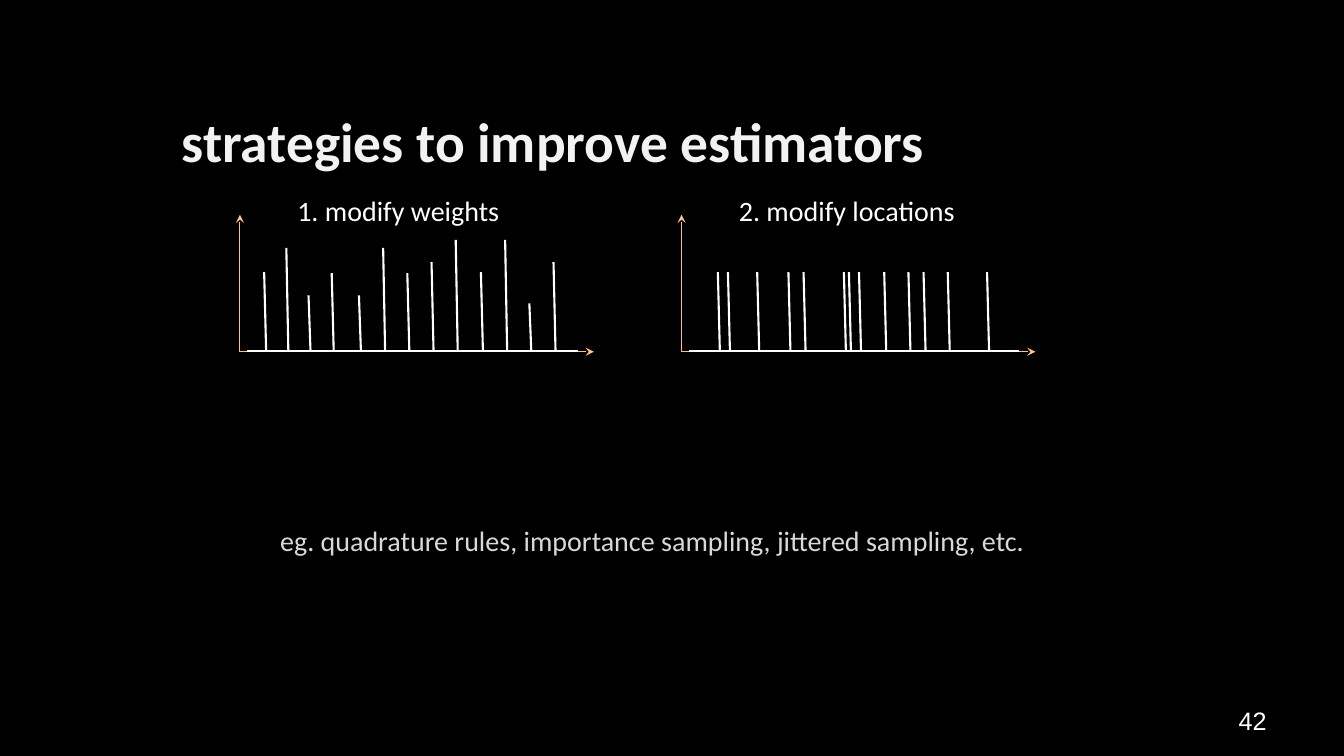
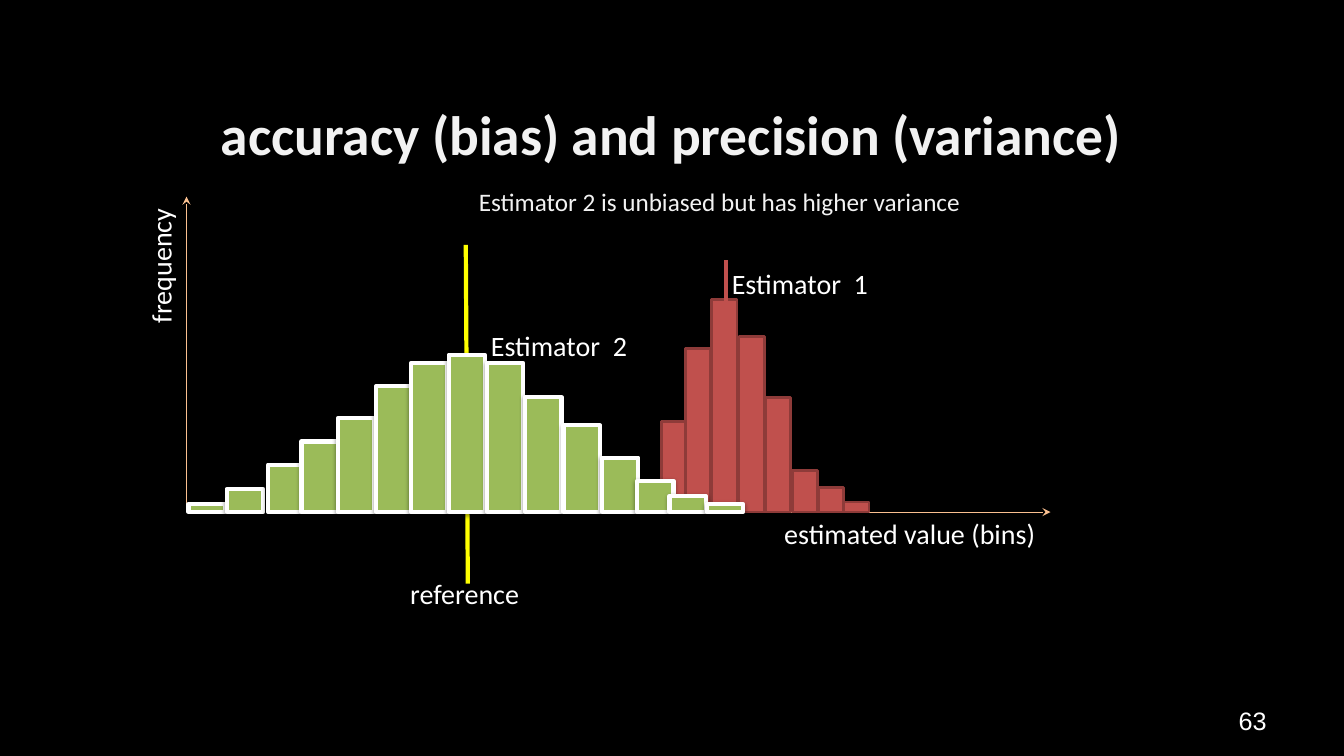
from lxml import etree
from pptx import Presentation, util as u
from pptx.dml.color import RGBColor
from pptx.enum import shapes, text
from pptx.oxml.ns import qn

SCALE = 9144  # EMU in one px, 100 px to the inch
COLORS = {
    "back": "000000", "white": "FFFFFF", "title": "F2F2F2", "muted": "D9D9D9",
    "axis": "FAC090", "reference": "FFFF00",
    "red": "C0504D", "red edge": "8E3B39", "green": "9BBB59",
}
BODY_FONT = "Calibri"
NUMBER_BOX = (1201, 695, 65, 40)

# Stem plots: origin x, label, label width, (offset from the origin, height)
STEM_BASE, STEM_LEAN = 349, 2
WEIGHTS = [(26, 79), (48, 103), (70, 56), (93, 78), (120, 56), (144, 103), (168, 78),
           (192, 89), (216, 111), (241, 79), (265, 111), (289, 48), (313, 89)]
LOCATIONS = [(offset, 79) for offset in
             (38, 48, 77, 108, 123, 163, 168, 178, 203, 227, 242, 266, 305)]
STEM_PLOTS = [
    (238, "1. modify weights", 222, WEIGHTS),
    (676, "2. modify locations", 237, LOCATIONS),
]

# Histograms: (left, height) of each bar
HISTOGRAM_BASE = 508
ESTIMATOR_1 = [(604, 10), (629, 29), (656, 90), (680, 162), (706, 211),
               (733, 174), (759, 114), (786, 41), (812, 24), (837, 10)]
ESTIMATOR_2 = [(187, 8), (225, 23), (266, 47), (299, 70), (335, 93),
               (373, 125), (408, 148), (445, 156), (483, 148), (521, 114),
               (559, 86), (597, 54), (632, 31), (664, 16), (701, 8)]
HISTOGRAM_LABELS = [
    ("estimated value (bins)", (768, 508, 274, 44), {}),
    ("frequency", (92, 241, 135, 44), {"rotation": 270}),
    ("reference", (397, 567, 131, 44), {}),
    ("Estimator  2", (477, 321, 158, 44), {}),
    ("Estimator  1", (716, 259, 158, 44), {}),
    ("Estimator 2 is unbiased but has higher variance", (465, 180, 505, 40),
     {"size": 18, "color": "title"}),
]


def px(*lengths):
    return [u.Emu(length * SCALE) for length in lengths]


def rgb(name):
    return RGBColor.from_string(COLORS[name])


def write(frame, words, size=20, color="white", font=BODY_FONT, bold=False,
          align=text.PP_ALIGN.LEFT):
    paragraph = frame.paragraphs[0]
    paragraph.alignment = align
    run = paragraph.add_run()
    run.text = words
    run.font.name, run.font.size, run.font.bold = font, u.Pt(size), bold
    run.font.color.rgb = rgb(color)


def add_label(parent, words, box, rotation=0, wrap=False, **style):
    label = parent.add_textbox(*px(*box))
    label.rotation = rotation
    label.text_frame.word_wrap = wrap
    label.text_frame.auto_size = text.MSO_AUTO_SIZE.SHAPE_TO_FIT_TEXT
    write(label.text_frame, words, **style)


def add_line(parent, start, end, color="white", width=1.5, arrow=False):
    line = parent.add_connector(shapes.MSO_CONNECTOR.STRAIGHT, *px(*start, *end))
    line.line.color.rgb = rgb(color)
    line.line.width = u.Pt(width)
    if arrow:
        etree.SubElement(line.line._get_or_add_ln(), qn("a:tailEnd"), type="stealth")
    etree.SubElement(line._element.spPr, qn("a:effectLst"))


def add_axis(parent, start, end):
    add_line(parent, start, end, "axis", 0.75, arrow=True)


def add_soft_shadow(shape):
    effects = shape._element.spPr.find(qn("a:effectLst"))
    shadow = etree.SubElement(effects, qn("a:outerShdw"), blurRad=str(u.Pt(3.1)),
                              dist=str(u.Pt(1.6)), dir="5400000", rotWithShape="0")
    black = etree.SubElement(shadow, qn("a:srgbClr"), val=COLORS["back"])
    etree.SubElement(black, qn("a:alpha"), val="38000")


def add_histogram(slide, bars, bar_width, fill, edge, edge_width, shadow=False):
    group = slide.shapes.add_group_shape().shapes
    for left, height in bars:
        bar = group.add_shape(shapes.MSO_SHAPE.RECTANGLE,
                              *px(left, HISTOGRAM_BASE - height, bar_width, height))
        bar.shadow.inherit = False
        bar.fill.solid()
        bar.fill.fore_color.rgb = rgb(fill)
        bar.line.color.rgb = rgb(edge)
        bar.line.width = u.Pt(edge_width)
        if shadow:
            add_soft_shadow(bar)


def add_stem_plot(slide, origin, label, label_width, stems):
    group = slide.shapes.add_group_shape().shapes
    corner = (origin, STEM_BASE)
    add_axis(group, corner, (origin, 213))
    add_axis(group, corner, (origin + 351, STEM_BASE))
    add_line(group, (origin + 7, STEM_BASE - 1), (origin + 335, STEM_BASE - 1))
    for offset, height in stems:
        foot = origin + offset
        add_line(group, (foot, STEM_BASE), (foot - STEM_LEAN, STEM_BASE - height))
    add_label(group, label, (origin + 47, 187, label_width, 44))


def add_slide(prs, title, title_box, number):
    slide = prs.slides.add_slide(prs.slide_layouts[5])
    heading = slide.shapes.title
    heading.left, heading.top, heading.width, heading.height = px(*title_box)
    heading.text_frame.auto_size = text.MSO_AUTO_SIZE.NONE
    heading.text_frame.vertical_anchor = text.MSO_ANCHOR.MIDDLE
    write(heading.text_frame, title, size=39.6, color="title", bold=True,
          align=text.PP_ALIGN.CENTER)
    add_label(slide.shapes, number, NUMBER_BOX, wrap=True, size=18, font="Arial",
              align=text.PP_ALIGN.RIGHT)
    return slide


def add_strategies(prs):
    slide = add_slide(prs, "strategies to improve estimators", (127, 105, 843, 68), "42")
    for plot in STEM_PLOTS:
        add_stem_plot(slide, *plot)
    add_label(slide.shapes,
              "eg. quadrature rules, importance sampling, jittered sampling, etc.",
              (268, 514, 851, 44), wrap=True, color="muted")


def add_accuracy(prs):
    slide = add_slide(prs, "accuracy (bias) and precision (variance)",
                      (74, 98, 1184, 68), "63")
    add_axis(slide.shapes, (185, HISTOGRAM_BASE), (185, 195))
    add_axis(slide.shapes, (292, HISTOGRAM_BASE), (1042, HISTOGRAM_BASE))
    add_histogram(slide, ESTIMATOR_1, 25, "red", "red edge", 2)
    add_line(slide.shapes, (462, 243), (464, 579), "reference", 3)
    add_line(slide.shapes, (720, 258), (720, HISTOGRAM_BASE), "red", 3)
    add_histogram(slide, ESTIMATOR_2, 36, "green", "white", 3, shadow=True)
    for words, box, style in HISTOGRAM_LABELS:
        add_label(slide.shapes, words, box, **style)


def main():
    prs = Presentation()
    prs.slide_width, prs.slide_height = px(1333, 750)
    backdrop = prs.slide_master.background.fill
    backdrop.solid()
    backdrop.fore_color.rgb = rgb("back")
    add_strategies(prs)
    add_accuracy(prs)
    prs.save("out.pptx")


if __name__ == "__main__":
    main()
